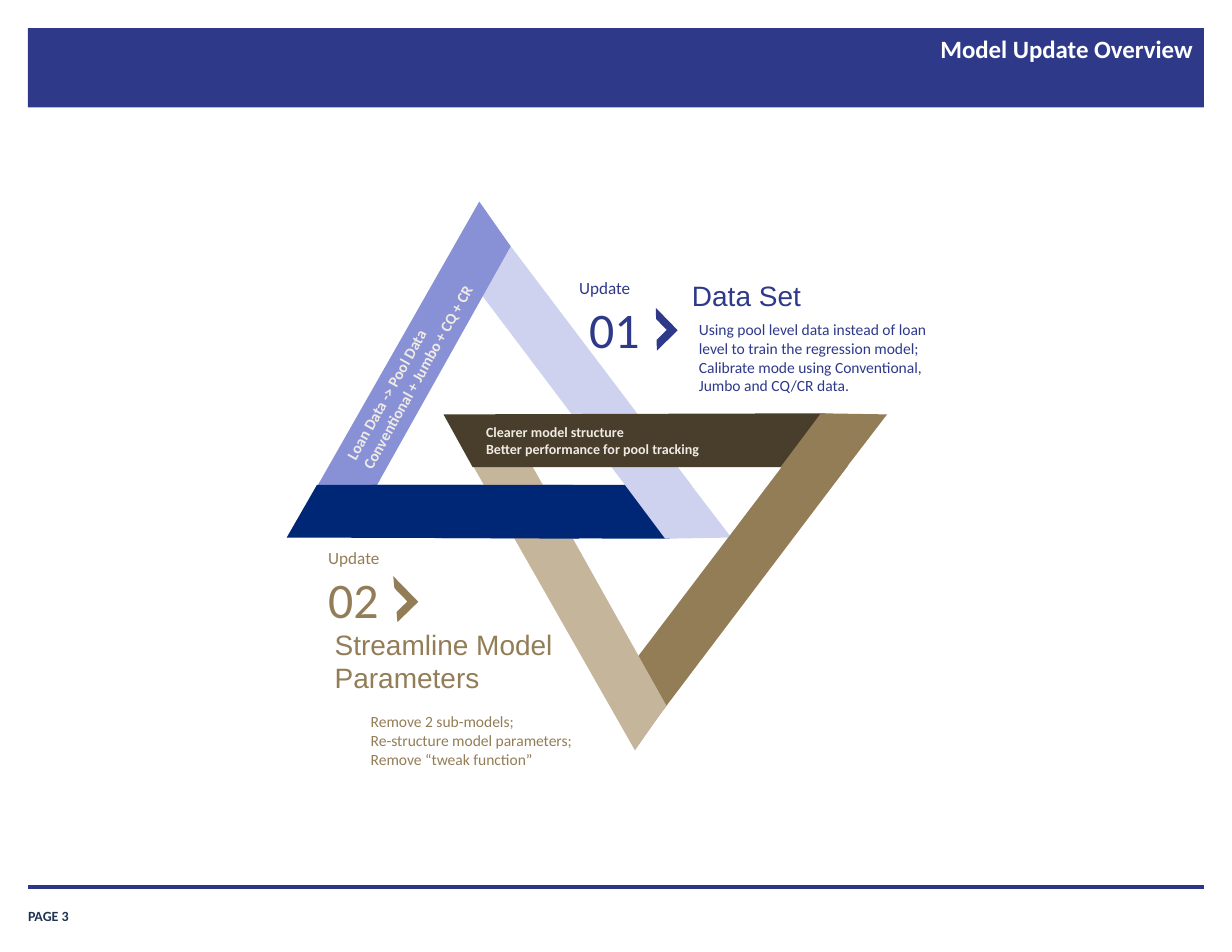
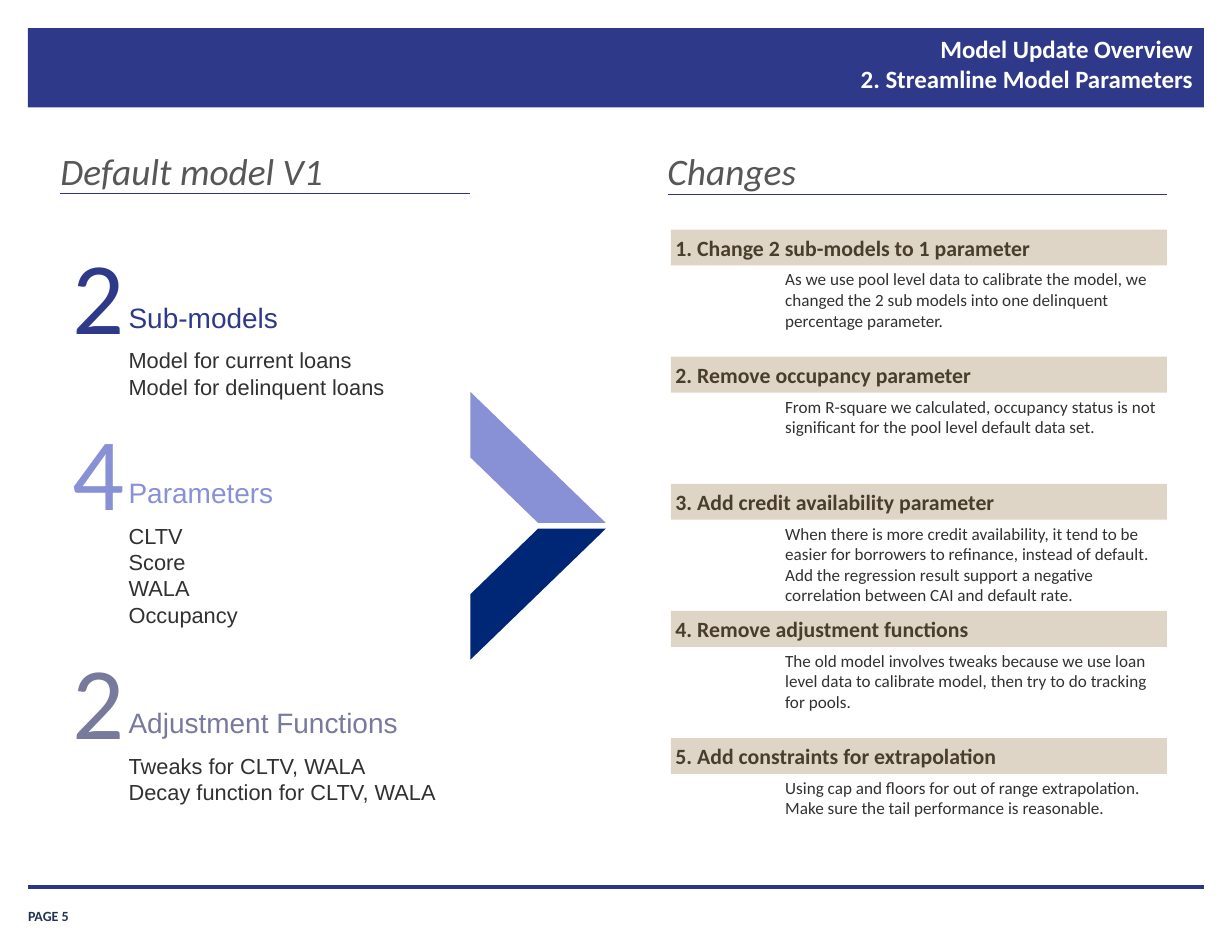
from dataclasses import dataclass
from typing import NamedTuple

from lxml.etree import SubElement
from pptx import Presentation
from pptx.dml.color import RGBColor
from pptx.enum.shapes import MSO_CONNECTOR, MSO_SHAPE
from pptx.enum.text import MSO_ANCHOR, PP_ALIGN
from pptx.oxml.ns import qn
from pptx.util import Inches, Pt


@dataclass(frozen=True)
class Theme:
    # Colours
    navy: str = "2E398A"
    rule: str = "2B3689"
    deep_blue: str = "002776"
    periwinkle: str = "8891D5"
    lavender: str = "CED2EF"
    slate: str = "77799D"
    brown: str = "937D57"
    tan: str = "C4B59B"
    dark_brown: str = "493E2B"
    sand: str = "DED5C7"
    cream: str = "EFEBE4"
    grey: str = "575757"
    ink: str = "313131"
    page: str = "203353"
    white: str = "FFFFFF"
    # Fonts
    body_font: str = "Calibri"
    heading_font: str = "Arial"
    # Type sizes
    tiny: float = 9
    small: float = 10
    text: float = 11
    item: float = 14
    title: float = 16
    heading: float = 18
    column: float = 24
    number: float = 32
    count: float = 66


THEME = Theme()
NO_INSET = (0, 0)
SLIM_INSET = (0.04, 0.04)
BOX_INSET = (0.1, 0.05)
TITLE_INSET = (0.11, 0.06)


class Box(NamedTuple):
    left: float
    top: float
    width: float
    height: float

    def emu(self) -> list:
        return [Inches(value) for value in self]


class Ribbon(NamedTuple):
    color: str
    corners: list


class Update(NamedTuple):
    number: str
    color: str
    label_box: Box
    number_box: Box
    chevron_box: Box
    heading: str
    heading_box: Box
    details: list
    details_box: Box


class Section(NamedTuple):
    top: float
    count: str
    heading: str
    color: str
    items: list


class Change(NamedTuple):
    heading: str
    reason: str


# Drawing helpers
def write(shape, lines, *, size, color, font=THEME.body_font, bold=False, italic=False,
          align=PP_ALIGN.LEFT, anchor=MSO_ANCHOR.TOP, inset=NO_INSET, indent=0.0):
    """Fill a shape with one paragraph per line, all in one format."""
    frame = shape.text_frame
    frame.word_wrap = True
    frame.vertical_anchor = anchor
    frame.margin_left = frame.margin_right = Inches(inset[0])
    frame.margin_top = frame.margin_bottom = Inches(inset[1])
    for index, line in enumerate(lines):
        paragraph = frame.add_paragraph() if index else frame.paragraphs[0]
        paragraph.alignment = align
        if indent:
            paragraph._p.get_or_add_pPr().set("marL", str(Inches(indent)))
        run = paragraph.add_run()
        run.text = line
        run.font.name = font
        run.font.size = Pt(size)
        run.font.bold = bold
        run.font.italic = italic
        run.font.color.rgb = RGBColor.from_string(color)


def add_label(slide, box: Box, *lines: str, rotation: float = 0, **text_format):
    label = slide.shapes.add_textbox(*box.emu())
    label.rotation = rotation
    write(label, lines, **text_format)


def add_heading(slide, box: Box, heading: str, color: str):
    add_label(slide, box, heading, size=THEME.heading, color=color,
              font=THEME.heading_font, inset=BOX_INSET)


def paint(shape, color: str):
    shape.shadow.inherit = False
    shape.fill.solid()
    shape.fill.fore_color.rgb = RGBColor.from_string(color)
    shape.line.fill.background()
    return shape


def add_block(slide, kind, box: Box, color: str):
    return paint(slide.shapes.add_shape(kind, *box.emu()), color)


def add_ribbon(slide, ribbon: Ribbon):
    start, *rest = [(Inches(x), Inches(y)) for x, y in ribbon.corners]
    outline = slide.shapes.build_freeform(*start)
    outline.add_line_segments(rest, close=True)
    paint(outline.convert_to_shape(), ribbon.color)


def add_rule(slide, left: float, right: float, y: float, weight: float):
    rule = slide.shapes.add_connector(
        MSO_CONNECTOR.STRAIGHT, Inches(left), Inches(y), Inches(right), Inches(y))
    rule.line.color.rgb = RGBColor.from_string(THEME.rule)
    rule.line.width = Pt(weight)
    SubElement(rule._element.spPr, qn("a:effectLst"))


def add_page(deck, page: int, *title_lines: str):
    """Add a slide with the title band, footer rule and page number."""
    slide = deck.slides.add_slide(deck.slide_layouts[5])
    title = slide.shapes.title
    title.left, title.top, title.width, title.height = Box(3.32, 0.24, 7.44, 0.74).emu()
    write(title, title_lines, size=THEME.title, color=THEME.white, bold=True,
          align=PP_ALIGN.RIGHT, inset=TITLE_INSET)
    band = add_block(slide, MSO_SHAPE.RECTANGLE, Box(0.25, 0.25, 10.5, 0.71), THEME.navy)
    slide.shapes._spTree.insert(2, band._element)  # band sits behind the title
    add_label(slide, Box(0.25, 8.02, 0.91, 0.23), f"PAGE {page}", size=THEME.tiny,
              color=THEME.page, bold=True, anchor=MSO_ANCHOR.BOTTOM)
    add_rule(slide, 0.25, 10.75, 7.92, 2)
    return slide


# Overview slide: two interlocking triangles
RIBBONS = [
    Ribbon(THEME.lavender, [(4.29, 1.84), (6.18, 4.34), (5.8, 4.62), (4.08, 2.34)]),
    Ribbon(THEME.periwinkle, [(2.76, 4.47), (4.28, 1.8), (4.56, 2.2), (3.16, 4.7)]),
    Ribbon(THEME.deep_blue, [(2.83, 4.33), (5.89, 4.33), (5.98, 4.81), (2.56, 4.8)]),
    Ribbon(THEME.lavender, [(5.94, 4.03), (6.53, 4.8), (5.94, 4.81), (5.58, 4.33)]),
    Ribbon(THEME.brown, [(5.68, 6.66), (7.57, 4.16), (7.2, 3.88), (5.47, 6.16)]),
    Ribbon(THEME.tan, [(4.15, 4.03), (5.67, 6.7), (5.95, 6.3), (4.55, 3.8)]),
    Ribbon(THEME.dark_brown, [(4.22, 4.17), (7.28, 4.17), (7.37, 3.69), (3.96, 3.7)]),
    Ribbon(THEME.brown, [(7.33, 4.47), (7.92, 3.7), (7.33, 3.69), (6.97, 4.17)]),
    Ribbon(THEME.deep_blue, [(3.32, 4.33), (5.12, 4.33), (5.17, 4.81), (3.17, 4.8)]),
]

UPDATES = [
    Update("01", THEME.navy, Box(5.13, 2.44, 0.99, 0.26), Box(5.22, 2.63, 0.69, 0.62),
           Box(5.73, 2.8, 0.26, 0.28), "Data Set", Box(6.08, 2.44, 1.98, 0.4),
           ["Using pool level data instead of loan level to train the regression model;",
            "Calibrate mode using Conventional, Jumbo and CQ/CR data."],
           Box(6.24, 2.86, 2.19, 0.67)),
    Update("02", THEME.brown, Box(2.89, 4.85, 0.99, 0.26), Box(2.89, 5.04, 0.69, 0.62),
           Box(3.4, 5.19, 0.26, 0.32), "Streamline Model Parameters",
           Box(2.89, 5.55, 2.17, 0.71),
           ["Remove 2 sub-models;", "Re-structure model parameters;",
            "Remove “tweak function”"],
           Box(3.31, 6.36, 1.88, 0.5)),
]


def add_update(slide, update: Update):
    chevron = add_block(slide, MSO_SHAPE.HALF_FRAME, update.chevron_box, update.color)
    chevron.rotation = 135.7
    chevron.adjustments[0] = 0.27
    chevron.adjustments[1] = 0.26
    add_label(slide, update.number_box, update.number, size=THEME.number,
              color=update.color, inset=SLIM_INSET)
    add_label(slide, update.label_box, "Update", size=THEME.text,
              color=update.color, inset=SLIM_INSET)
    add_label(slide, update.details_box, *update.details, size=THEME.small,
              color=update.color)
    add_heading(slide, update.heading_box, update.heading, update.color)


def build_overview(deck):
    slide = add_page(deck, 3, "Model Update Overview")
    for ribbon in RIBBONS:
        add_ribbon(slide, ribbon)
    for update in UPDATES:
        add_update(slide, update)
    # Captions on the ribbons
    add_label(slide, Box(2.68, 3.07, 2.05, 0.34), "Loan Data -> Pool Data",
              "Conventional + Jumbo + CQ + CR", rotation=299.2,
              size=THEME.small, color=THEME.cream, bold=True)
    add_label(slide, Box(4.34, 3.78, 2.34, 0.3), "Clearer model structure",
              "Better performance for pool tracking",
              size=THEME.tiny, color=THEME.cream, bold=True)


# Parameters slide: first version on the left, changes on the right
SECTIONS = [
    Section(2.07, "2", "Sub-models", THEME.navy,
            ["Model for current loans", "Model for delinquent loans"]),
    Section(3.64, "4", "Parameters", THEME.periwinkle,
            ["CLTV", "Score", "WALA", "Occupancy"]),
    Section(5.69, "2", "Adjustment Functions", THEME.slate,
            ["Tweaks for CLTV, WALA", "Decay function for CLTV, WALA"]),
]

CHANGES = [
    Change("Change 2 sub-models to 1 parameter",
           "As we use pool level data to calibrate the model, we changed the 2 sub models "
           "into one delinquent percentage parameter."),
    Change("Remove occupancy parameter",
           "From R-square we calculated, occupancy status is not significant for the pool "
           "level default data set."),
    Change("Add credit availability parameter",
           "When there is more credit availability, it tend to be easier for borrowers to "
           "refinance, instead of default. Add the regression result support a negative "
           "correlation between CAI and default rate."),
    Change("Remove adjustment functions",
           "The old model involves tweaks because we use loan level data to calibrate model, "
           "then try to do tracking for pools."),
    Change("Add constraints for extrapolation",
           "Using cap and floors for out of range extrapolation. Make sure the tail "
           "performance is reasonable."),
]
CHANGE_TOP, CHANGE_BOTTOM = 2.05, 6.59
CHANGE_STEP = (CHANGE_BOTTOM - CHANGE_TOP) / (len(CHANGES) - 1)


def add_column_heading(slide, heading: str, left: float, right: float, rule_y: float):
    add_label(slide, Box(left, 1.32, 5.56, 0.4), heading, size=THEME.column,
              color=THEME.grey, italic=True)
    add_rule(slide, left, right, rule_y, 0.75)


def add_section(slide, section: Section):
    add_label(slide, Box(0.65, section.top, 0.4, 1.11), section.count, size=THEME.count,
              color=section.color, align=PP_ALIGN.CENTER)
    add_heading(slide, Box(1.05, section.top + 0.56, 2.96, 0.4), section.heading,
                section.color)
    add_label(slide, Box(1.05, section.top + 0.98, 2.96, 0.1 + 0.24 * len(section.items)),
              *section.items, size=THEME.item, color=THEME.ink, font=THEME.heading_font,
              inset=BOX_INSET)


def add_change(slide, number: int, change: Change):
    top = CHANGE_TOP + (number - 1) * CHANGE_STEP
    bar = add_block(slide, MSO_SHAPE.RECTANGLE, Box(5.99, top, 4.43, 0.32), THEME.sand)
    write(bar, [f"{number}. {change.heading}"], size=THEME.item, color=THEME.dark_brown,
          bold=True, anchor=MSO_ANCHOR.MIDDLE, inset=SLIM_INSET)
    add_label(slide, Box(6.47, top + 0.31, 3.95, 0.82), change.reason, size=THEME.text,
              color=THEME.ink, inset=SLIM_INSET, indent=0.5)


def build_parameters(deck):
    slide = add_page(deck, 5, "Model Update Overview", "2. Streamline Model Parameters")
    add_column_heading(slide, "Default model V1", 0.54, 4.2, 1.73)
    add_column_heading(slide, "Changes", 5.96, 10.42, 1.74)
    for section in SECTIONS:
        add_section(slide, section)
    # Arrow made of two mirrored stripes
    add_block(slide, MSO_SHAPE.DIAGONAL_STRIPE, Box(4.2, 4.72, 1.21, 1.17), THEME.deep_blue)
    upper = add_block(slide, MSO_SHAPE.DIAGONAL_STRIPE, Box(4.2, 3.5, 1.21, 1.17),
                      THEME.periwinkle)
    upper._element.spPr.get_or_add_xfrm().set("flipV", "1")
    for number, change in enumerate(CHANGES, start=1):
        add_change(slide, number, change)


def main():
    deck = Presentation()
    deck.slide_width, deck.slide_height = Inches(11), Inches(8.5)
    build_overview(deck)
    build_parameters(deck)
    deck.save("out.pptx")


if __name__ == "__main__":
    main()
